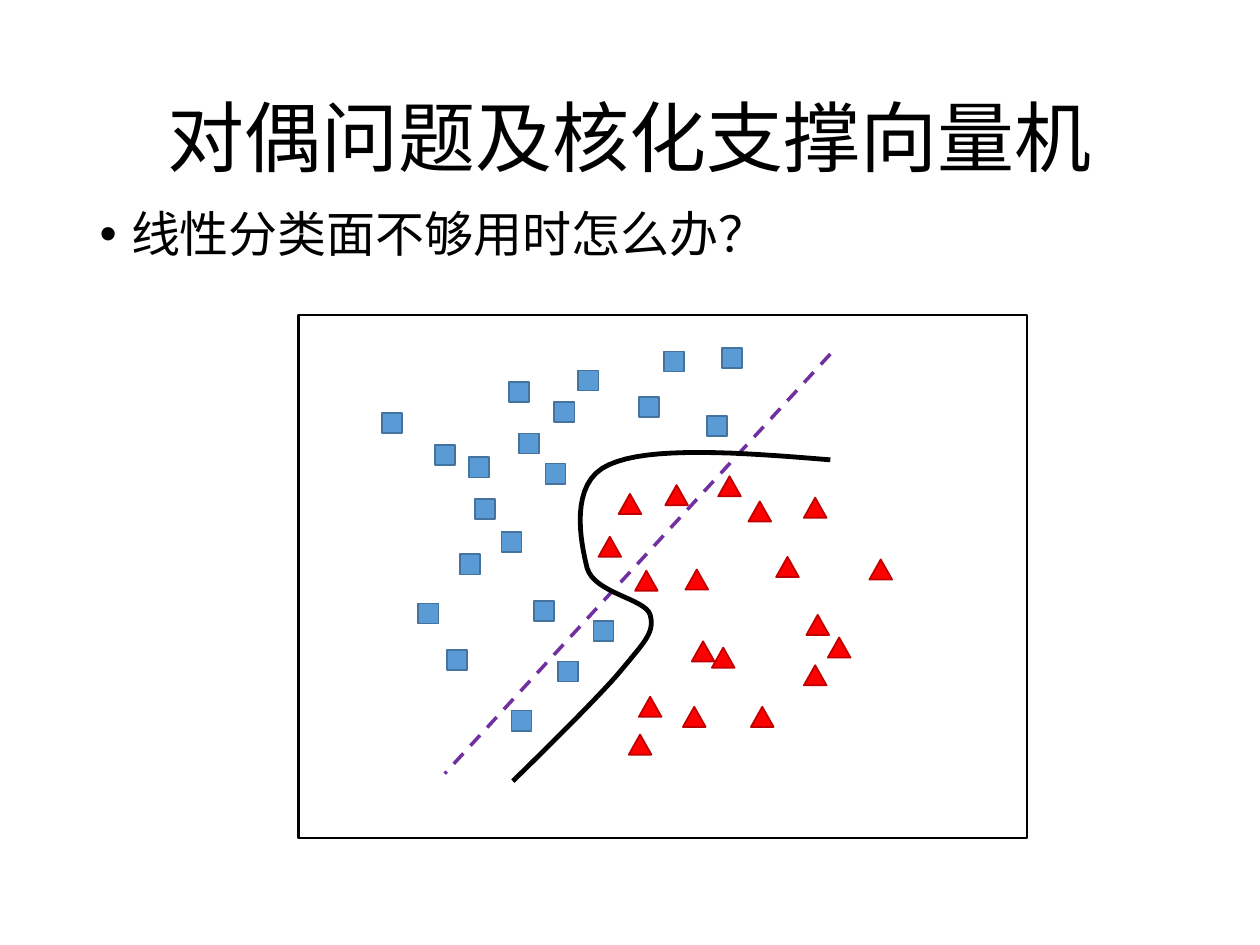
import pptx
import pptx.dml.color
import pptx.enum.dml
import pptx.enum.shapes
import pptx.enum.text
import pptx.oxml.ns
import pptx.util
from lxml import etree

Inches = pptx.util.Inches
Pt = pptx.util.Pt
RGBColor = pptx.dml.color.RGBColor
Shape = pptx.enum.shapes.MSO_SHAPE
Align = pptx.enum.text.PP_ALIGN
Anchor = pptx.enum.text.MSO_ANCHOR
qn = pptx.oxml.ns.qn

BLACK = RGBColor(0x00, 0x00, 0x00)
WHITE = RGBColor(0xFF, 0xFF, 0xFF)
BLUE = RGBColor(0x5B, 0x9B, 0xD5)
DARK_BLUE = RGBColor(0x43, 0x73, 0x9E)
RED = RGBColor(0xFF, 0x00, 0x00)
DARK_RED = RGBColor(0xC0, 0x00, 0x00)
PURPLE = RGBColor(0x70, 0x30, 0xA0)

SQUARES = [
    (4.04, 3.03), (3.45, 3.53), (3.72, 3.63), (3.77, 3.96), (4.4, 3.19),
    (3.32, 4.79), (3.98, 4.22), (3.55, 5.16), (4.71, 4.93), (4.33, 3.68),
    (3.65, 4.4), (4.59, 2.94), (4.06, 5.64), (5.07, 3.15), (5.73, 2.76),
    (4.24, 4.77), (3.03, 3.28), (4.12, 3.44), (5.61, 3.3), (4.43, 5.25),
    (5.27, 2.79),
]
TRIANGLES = [
    (4.75, 4.26), (4.91, 3.92), (6.16, 4.42), (5.44, 4.52), (5.49, 5.09),
    (5.94, 3.98), (6.38, 3.95), (5.65, 5.14), (6.4, 4.88), (5.96, 5.61),
    (6.9, 4.44), (6.57, 5.06), (5.07, 5.53), (5.28, 3.85), (5.04, 4.53),
    (5.42, 5.61), (5.7, 3.78), (4.99, 5.83), (6.38, 5.28),
]
BOUNDARY_START = (6.59, 3.65)
BOUNDARY_CURVES = [
    ((5.87, 3.59), (5.15, 3.54), (4.83, 3.69)),
    ((4.51, 3.83), (4.61, 4.31), (4.66, 4.51)),
    ((4.72, 4.71), (5.12, 4.75), (5.16, 4.88)),
    ((5.2, 5.02), (5.11, 5.1), (4.93, 5.32)),
    ((4.75, 5.54), (4.07, 6.2), (4.07, 6.2)),
]
CURVE_STEPS = 16


def fill_placeholder(box, text, place, size, anchor):
    box.left, box.top, box.width, box.height = map(Inches, place)
    frame = box.text_frame
    frame.text = text
    frame.word_wrap = True
    frame.auto_size = pptx.enum.text.MSO_AUTO_SIZE.NONE
    frame.vertical_anchor = anchor
    para = frame.paragraphs[0]
    para.line_spacing = 0.9
    font = para.runs[0].font
    font.name = "Calibri"
    font.size = Pt(size)
    font.color.rgb = BLACK
    return para


def set_bullet(para):
    properties = para._p.get_or_add_pPr()
    properties.set("marL", str(Inches(0.25)))
    properties.set("indent", str(Inches(-0.25)))
    etree.SubElement(properties, qn("a:buFont")).set("typeface", "Arial")
    etree.SubElement(properties, qn("a:buChar")).set("char", "•")


def add_box(page, kind, place, fill, line, line_width):
    box = page.shapes.add_shape(kind, *map(Inches, place))
    box.shadow.inherit = False
    box.fill.solid()
    box.fill.fore_color.rgb = fill
    box.line.color.rgb = line
    box.line.width = Pt(line_width)


def add_markers(page, kind, corners, size, fill, line):
    for corner in corners:
        add_box(page, kind, corner + size, fill, line, 1)


def add_dashed_line(page, start, end):
    line = page.shapes.add_connector(
        pptx.enum.shapes.MSO_CONNECTOR.STRAIGHT, *map(Inches, start + end))
    line.line.color.rgb = PURPLE
    line.line.width = Pt(2)
    line.line.dash_style = pptx.enum.dml.MSO_LINE.DASH
    etree.SubElement(line._element.spPr, qn("a:effectLst"))


def bezier_point(controls, t):
    weights = ((1 - t) ** 3, 3 * t * (1 - t) ** 2, 3 * t ** 2 * (1 - t), t ** 3)
    return tuple(
        Inches(sum(weight * value for weight, value in zip(weights, axis)))
        for axis in zip(*controls))


def add_boundary(page, start, curves):
    points = []
    current = start
    for curve in curves:
        points += [bezier_point((current,) + curve, step / CURVE_STEPS)
                   for step in range(1, CURVE_STEPS + 1)]
        current = curve[-1]
    builder = page.shapes.build_freeform(*map(Inches, start))
    builder.add_line_segments(points, close=False)
    boundary = builder.convert_to_shape()
    boundary.shadow.inherit = False
    boundary.fill.background()
    boundary.line.color.rgb = BLACK
    boundary.line.width = Pt(2.75)


def main():
    deck = pptx.Presentation()
    deck.slide_width = Inches(10)
    deck.slide_height = Inches(7.5)
    page = deck.slides.add_slide(deck.slide_layouts[1])

    title = fill_placeholder(page.shapes.title, "对偶问题及核化支撑向量机",
                             (0.69, 0.4, 8.62, 1.45), 44, Anchor.MIDDLE)
    title.alignment = Align.CENTER
    question = fill_placeholder(page.placeholders[1], "线性分类面不够用时怎么办？",
                                (0.69, 1.62, 8.62, 0.54), 28, Anchor.TOP)
    question.space_before = Pt(10)
    set_bullet(question)

    add_box(page, Shape.RECTANGLE, (2.37, 2.5, 5.78, 4.15), WHITE, BLACK, 1.5)
    add_markers(page, Shape.RECTANGLE, SQUARES, (0.16, 0.16), BLUE, DARK_BLUE)
    add_markers(page, Shape.ISOSCELES_TRIANGLE, TRIANGLES, (0.18, 0.16), RED, DARK_RED)
    add_dashed_line(page, (6.59, 2.81), (3.53, 6.14))
    add_boundary(page, BOUNDARY_START, BOUNDARY_CURVES)

    deck.save("out.pptx")


if __name__ == "__main__":
    main()
